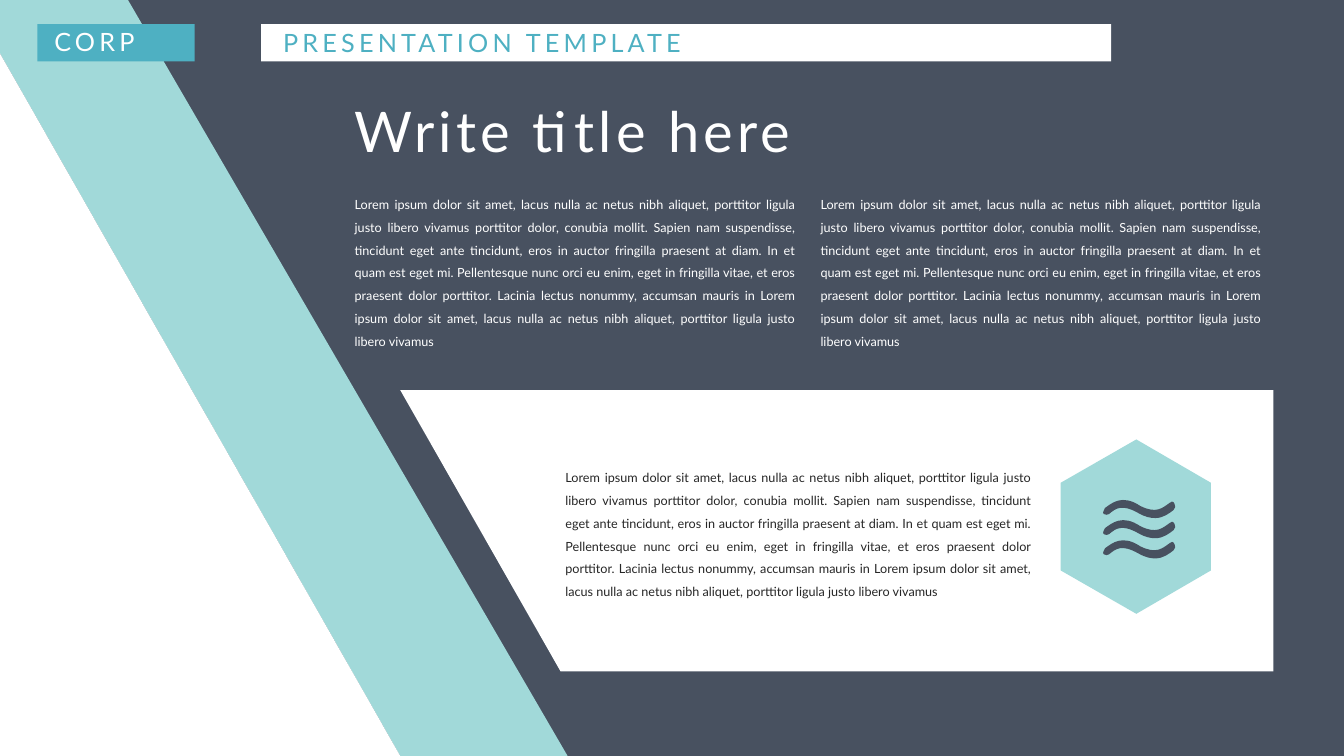
import pptx
import pptx.dml.color
import pptx.enum.shapes
import pptx.enum.text
import pptx.oxml.ns
import pptx.util

PX = 9144  # EMU in one px, 100 px to the inch
WIDTH, HEIGHT = 1333, 750
COLORS = {
    "slate": "485160",
    "mint": "A1D9D9",
    "teal": "4EB0C2",
    "white": "FFFFFF",
    "ink": "262626",
}
LOREM = (
    "Lorem ipsum dolor sit amet, lacus nulla ac netus nibh aliquet, porttitor ligula "
    "justo libero vivamus porttitor dolor, conubia mollit. Sapien nam suspendisse, "
    "tincidunt eget ante tincidunt, eros in auctor fringilla praesent at diam. In et "
    "quam est eget mi. Pellentesque nunc orci eu enim, eget in fringilla vitae, et eros "
    "praesent dolor porttitor. Lacinia lectus nonummy, accumsan mauris in Lorem ipsum "
    "dolor sit amet, lacus nulla ac netus nibh aliquet, porttitor ligula justo libero vivamus"
)

# Middle wave of the icon: a start point, then three points for each cubic curve
WAVE = [
    (1100, 530),
    (1107, 524), (1113, 520), (1129, 529),
    (1136, 533), (1141, 534), (1146, 534),
    (1154, 534), (1160, 529), (1164, 526),
    (1165, 524), (1167, 522), (1165, 520),
    (1164, 517), (1161, 517), (1160, 519),
    (1153, 524), (1147, 530), (1131, 522),
    (1113, 510), (1103, 519), (1096, 524),
    (1095, 526), (1093, 529), (1095, 530),
    (1096, 531), (1099, 531), (1100, 530),
]
WAVE_PITCH = 20


class SlideBuilder:
    """Holds the font and the current slide, and draws its elements."""

    def __init__(self, page, font="Lato"):
        self.page = page
        self.font = font

    def color(self, name):
        return pptx.dml.color.RGBColor.from_string(COLORS[name])

    def background(self, color):
        fill = self.page.background.fill
        fill.solid()
        fill.fore_color.rgb = self.color(color)

    def paint(self, shape, color):
        shape.shadow.inherit = False
        shape.fill.solid()
        shape.fill.fore_color.rgb = self.color(color)
        shape.line.fill.background()

    def bar(self, left, top, width, height, color):
        kind = pptx.enum.shapes.MSO_SHAPE.RECTANGLE
        shape = self.page.shapes.add_shape(
            kind, left * PX, top * PX, width * PX, height * PX)
        self.paint(shape, color)

    def outline(self, contours, color):
        start, *rest = contours[0]
        builder = self.page.shapes.build_freeform(*start, scale=PX)
        builder.add_line_segments(rest)
        for start, *rest in contours[1:]:
            builder.move_to(*start)
            builder.add_line_segments(rest)
        shape = builder.convert_to_shape()
        self.paint(shape, color)
        return shape

    def curved_outline(self, contours, color):
        """Draw contours whose points after the first form cubic curves."""
        shape = self.outline(contours, color)
        names = pptx.oxml.ns.qn
        segments = list(shape._element.iter(names("a:lnTo")))
        # Closing lines are not wanted: every curve takes three segments
        for first, second, third in zip(segments[::3], segments[1::3], segments[2::3]):
            first.tag = names("a:cubicBezTo")
            for segment in (second, third):
                first.append(segment[0])
                segment.getparent().remove(segment)

    def text(self, left, top, width, height, words, size, color, body=False):
        box = self.page.shapes.add_textbox(
            left * PX, top * PX, width * PX, height * PX)
        frame = box.text_frame
        frame.word_wrap = body
        frame.auto_size = pptx.enum.text.MSO_AUTO_SIZE.SHAPE_TO_FIT_TEXT
        para = frame.paragraphs[0]
        span = para.add_run()
        span.text = words
        span.font.name = self.font
        span.font.size = pptx.util.Pt(size)
        span.font.color.rgb = self.color(color)
        if body:
            para.alignment = pptx.enum.text.PP_ALIGN.JUSTIFY
            para.line_spacing = 1.5
        else:
            # Headings are spaced 3 pt between letters
            span._r.get_or_add_rPr().set("spc", "300")


def main():
    deck = pptx.Presentation()
    deck.slide_width, deck.slide_height = WIDTH * PX, HEIGHT * PX
    slide = SlideBuilder(deck.slides.add_slide(deck.slide_layouts[6]))

    # Diagonal band, white corner and white panel
    slide.background("slate")
    slide.outline([[(563, 750), (397, 750), (0, 53), (0, 0), (127, 0)]], "mint")
    slide.outline([[(0, 53), (0, 750), (397, 750)]], "white")
    slide.outline([[(397, 387), (556, 666), (1263, 666), (1263, 387)]], "white")

    # Hexagon with three waves
    slide.outline([[(1201, 566), (1127, 609), (1052, 566),
                    (1052, 479), (1127, 436), (1201, 479)]], "mint")
    slide.curved_outline([[(x, y + row * WAVE_PITCH) for x, y in WAVE]
                          for row in (-1, 0, 1)], "slate")

    # Body text
    slide.text(551, 454, 481, 169, LOREM, 9, "ink", body=True)
    for left in (804, 342):
        slide.text(left, 183, 456, 192, LOREM, 9, "white", body=True)

    # Header bars and headings
    slide.bar(37, 24, 156, 37, "teal")
    slide.bar(259, 24, 843, 37, "white")
    slide.text(271, 22, 429, 40, "PRESENTATION TEMPLATE", 18, "teal")
    slide.text(44, 21, 105, 40, "CORP", 18, "white")
    slide.text(342, 91, 466, 77, "Write title here", 40, "white")

    deck.save("out.pptx")


if __name__ == "__main__":
    main()
